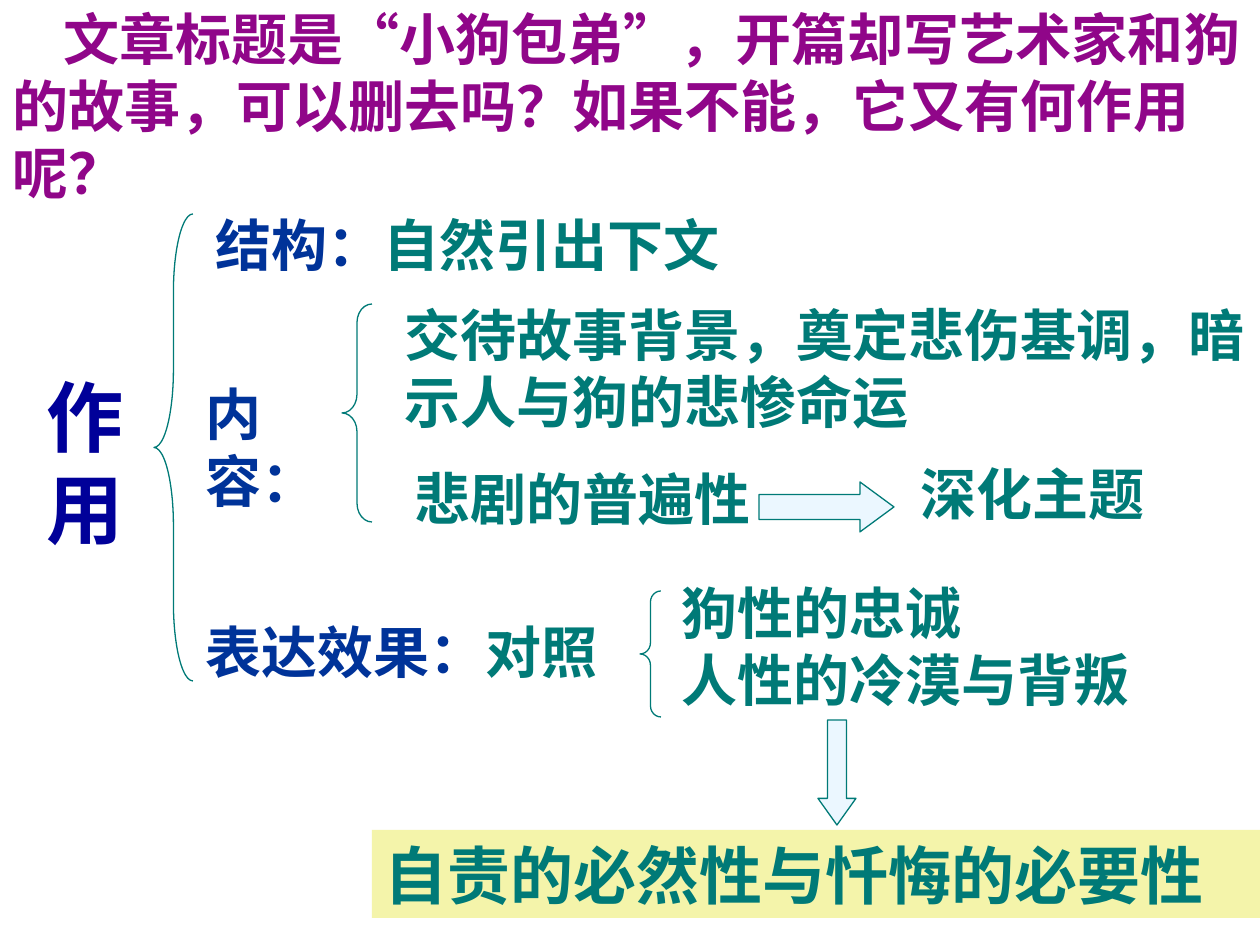
from pptx import Presentation
from pptx.dml.color import RGBColor
from pptx.enum.shapes import MSO_SHAPE
from pptx.enum.text import MSO_ANCHOR, PP_ALIGN
from pptx.oxml.ns import qn
from pptx.util import Emu, Pt

PX = 914400 // 126
COLORS = {"purple": "900689", "navy": "000099", "blue": "003399", "teal": "007A77",
          "pale": "EBF7FF", "yellow": "F4F4AA"}
CJK = "Noto Sans CJK SC"

TITLE = "文章标题是“小狗包弟”，开篇却写艺术家和狗的故事，可以删去吗？如果不能，它又有何作用呢？"
TITLE_BOX = (0, 26, 1260, 158)

# box, paragraphs of (text, color) runs, format
TEXTS = [
    ((34, 363, 118, 198), [[("作", "navy")], [("用", "navy")]], {"size": 44}),
    ((203, 204, 617, 81), [[("结构：", "blue"), ("自然引出下文", "teal")]], {}),
    ((193, 373, 159, 81), [[("内容：", "blue")]], {}),
    ((908, 453, 307, 81), [[("深化主题", "teal")]], {}),
    ((193, 611, 427, 81), [[("表达效果：", "blue"), ("对照", "teal")]], {}),
    ((392, 294, 868, 147), [[("交待故事背景，奠定悲伤基调，暗示人与狗的悲惨命运", "teal")]], {}),
    ((669, 572, 591, 147), [[("狗性的忠诚", "teal")], [("人性的冷漠与背叛", "teal")]], {}),
    ((402, 458, 362, 81), [[("悲剧的普遍性", "teal")]],
     {"font": "Times New Roman", "wrap": False}),
]
CONCLUSION = ((372, 830, 888, 88), [[("自责的必然性与忏悔的必要性", "teal")]])

# preset, box, adjustments, fill
SHAPES = [
    (MSO_SHAPE.LEFT_BRACE, (154, 214, 39, 467), (2.0, 0.5), None),
    (MSO_SHAPE.LEFT_BRACE, (342, 304, 30, 218), (0.62, 0.5), None),
    (MSO_SHAPE.LEFT_BRACE, (640, 591, 21, 126), (0.53, 0.5), None),
    (MSO_SHAPE.RIGHT_ARROW, (759, 482, 135, 50), (0.5, 0.68), "pale"),
    (MSO_SHAPE.DOWN_ARROW, (818, 720, 38, 105), (0.5, 0.7), "pale"),
]


def emu(box):
    return [Emu(v * PX) for v in box]


def rgb(name):
    return RGBColor.from_string(COLORS[name])


def write(tf, paragraphs, size=32, font="Arial", wrap=True, anchor=MSO_ANCHOR.TOP, indent=0):
    tf.word_wrap = wrap
    tf.vertical_anchor = anchor
    for i, runs in enumerate(paragraphs):
        p = tf.paragraphs[0] if i == 0 else tf.add_paragraph()
        p.alignment = PP_ALIGN.LEFT
        pPr = p._p.get_or_add_pPr()
        pPr.set("hangingPunct", "0")  # keep punctuation inside the text area
        if indent:
            pPr.set("indent", str(indent * PX))
        for text, color in runs:
            r = p.add_run()
            r.text = text
            r.font.size = Pt(size)
            r.font.bold = True
            r.font.name = font
            r.font.color.rgb = rgb(color)
            ea = r.font._element.makeelement(qn("a:ea"), {"typeface": CJK})
            r.font._element.find(qn("a:latin")).addnext(ea)


def add_preset(s, preset, box, fill=None, line=None):
    sp = s.shapes.add_shape(preset, *emu(box))
    sp.shadow.inherit = False
    if fill:
        sp.fill.solid()
        sp.fill.fore_color.rgb = rgb(fill)
    else:
        sp.fill.background()
    if line:
        sp.line.color.rgb = rgb(line)
        sp.line.width = Pt(0.75)
    else:
        sp.line.fill.background()
    return sp


def main():
    prs = Presentation()
    prs.slide_width, prs.slide_height = emu((1260, 945))
    s = prs.slides.add_slide(prs.slide_layouts[5])

    title = s.shapes.title
    title.left, title.top, title.width, title.height = emu(TITLE_BOX)
    write(title.text_frame, [[(TITLE, "purple")]], font=CJK,
          anchor=MSO_ANCHOR.MIDDLE, indent=51)

    for box, paragraphs, style in TEXTS:
        write(s.shapes.add_textbox(*emu(box)).text_frame, paragraphs, **style)

    box, paragraphs = CONCLUSION
    write(add_preset(s, MSO_SHAPE.RECTANGLE, box, "yellow").text_frame, paragraphs, size=36)

    for preset, box, adjustments, fill in SHAPES:
        sp = add_preset(s, preset, box, fill, "teal")
        for i, value in enumerate(adjustments):
            sp.adjustments[i] = value

    prs.save("out.pptx")


if __name__ == "__main__":
    main()
